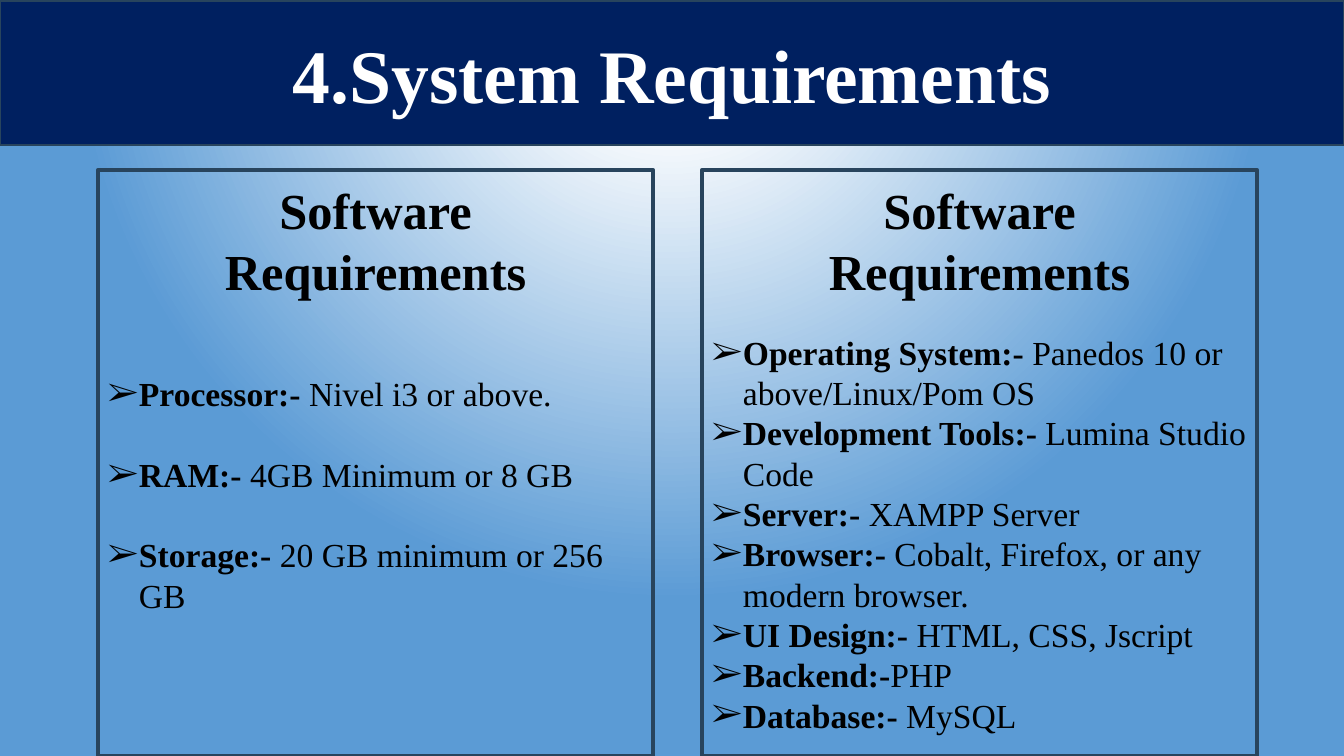
from dataclasses import dataclass

from pptx import Presentation
from pptx.dml.color import RGBColor
from pptx.enum.shapes import MSO_SHAPE
from pptx.enum.text import MSO_ANCHOR, PP_ALIGN
from pptx.oxml import parse_xml
from pptx.oxml.ns import nsdecls
from pptx.util import Inches, Pt


@dataclass(frozen=True)
class Theme:
    """Colours, type sizes and font of the slide."""
    navy: str = "002060"
    edge: str = "28445D"
    white: str = "FFFFFF"
    black: str = "000000"
    sky: str = "5B9BD5"
    font: str = "Times New Roman"
    title: int = 54
    head: int = 36
    body: int = 24
    lead: float = 1.2


THEME = Theme()
HEAD = "Software Requirements"
HARDWARE = [
    ("Processor:- ", "Nivel i3 or above."),
    ("RAM:- ", "4GB Minimum or 8 GB"),
    ("Storage:- ", "20 GB minimum or 256 GB"),
]
SOFTWARE = [
    ("Operating System:- ", "Panedos 10 or above/Linux/Pom OS"),
    ("Development Tools:- ", "Lumina Studio Code"),
    ("Server:- ", "XAMPP Server"),
    ("Browser:- ", "Cobalt, Firefox, or any modern browser."),
    ("UI Design:- ", "HTML, CSS, Jscript"),
    ("Backend:-", "PHP"),
    ("Database:- ", "MySQL"),
]


def backdrop(slide):
    """Fill the background with a round glow from the top."""
    stops = [(0, THEME.white), (14, THEME.white), (78, THEME.sky), (100, THEME.sky)]
    marks = "".join(
        f'<a:gs pos="{pos * 1000}"><a:srgbClr val="{tint}"/></a:gs>'
        for pos, tint in stops
    )
    slide.element.cSld.insert(0, parse_xml(
        f'<p:bg {nsdecls("p", "a")}><p:bgPr><a:gradFill rotWithShape="1">'
        f'<a:gsLst>{marks}</a:gsLst><a:path path="circle">'
        '<a:fillToRect l="50000" t="-80000" r="50000" b="180000"/></a:path>'
        '</a:gradFill><a:effectLst/></p:bgPr></p:bg>'
    ))


def frame(slide, box, width, fill=None):
    """Draw an edged rectangle and return it."""
    shape = slide.shapes.add_shape(MSO_SHAPE.RECTANGLE, *map(Inches, box))
    shape.shadow.inherit = False
    if fill:
        shape.fill.solid()
        shape.fill.fore_color.rgb = RGBColor.from_string(fill)
    else:
        shape.fill.background()
    shape.line.color.rgb = RGBColor.from_string(THEME.edge)
    shape.line.width = Pt(width)
    shape.text_frame.word_wrap = True
    return shape


def write(para, text, size, color, bold=True):
    """Add one styled run to a paragraph."""
    run = para.add_run()
    run.text = text
    run.font.name = THEME.font
    run.font.size = Pt(size)
    run.font.bold = bold
    run.font.color.rgb = RGBColor.from_string(color)


def bullet(para):
    """Give a paragraph an arrow bullet and a hanging indent."""
    props = para._p.get_or_add_pPr()
    props.set("marL", str(Inches(0.31)))
    props.set("indent", str(Inches(-0.31)))
    props.append(parse_xml(f'<a:buFont {nsdecls("a")} typeface="Wingdings 2"/>'.replace("Wingdings 2", THEME.font)))
    props.append(parse_xml(f'<a:buChar {nsdecls("a")} char="➢"/>'))


def banner(slide, box, text):
    """Place the title band."""
    shape = frame(slide, box, 1, THEME.navy)
    shape.text_frame.vertical_anchor = MSO_ANCHOR.MIDDLE
    para = shape.text_frame.paragraphs[0]
    para.alignment = PP_ALIGN.CENTER
    write(para, text, THEME.title, THEME.white)


def panel(slide, box, items, inset, gap):
    """Place a framed list with its heading."""
    left, top, width, _ = box
    body = frame(slide, box, 3).text_frame
    body.vertical_anchor = MSO_ANCHOR.TOP
    body.margin_top = Inches(inset)
    for rank, (label, value) in enumerate(items):
        para = body.add_paragraph() if rank else body.paragraphs[0]
        bullet(para)
        para.alignment = PP_ALIGN.LEFT
        para.line_spacing = Pt(THEME.body * THEME.lead)
        if rank:
            para.space_before = Pt(gap)
        write(para, label, THEME.body, THEME.black)
        write(para, value, THEME.body, THEME.black, False)

    wide = 3.55
    spot = (left + (width - wide) / 2, top + 0.04, wide, 1.31)
    head = slide.shapes.add_textbox(*map(Inches, spot)).text_frame
    head.word_wrap = True
    para = head.paragraphs[0]
    para.alignment = PP_ALIGN.CENTER
    para.line_spacing = Pt(THEME.head * THEME.lead)
    write(para, HEAD, THEME.head, THEME.black)


def main():
    """Build and save the slide."""
    deck = Presentation()
    deck.slide_width, deck.slide_height = Inches(13.33), Inches(7.5)
    slide = deck.slides.add_slide(deck.slide_layouts[6])
    backdrop(slide)
    banner(slide, (0, 0.01, 13.33, 1.43), "4.System Requirements")
    panel(slide, (6.96, 1.69, 5.51, 5.81), SOFTWARE, 1.6, 0)
    panel(slide, (0.97, 1.69, 5.51, 5.81), HARDWARE, 2.01, THEME.body * THEME.lead)
    deck.save("out.pptx")


if __name__ == "__main__":
    main()
